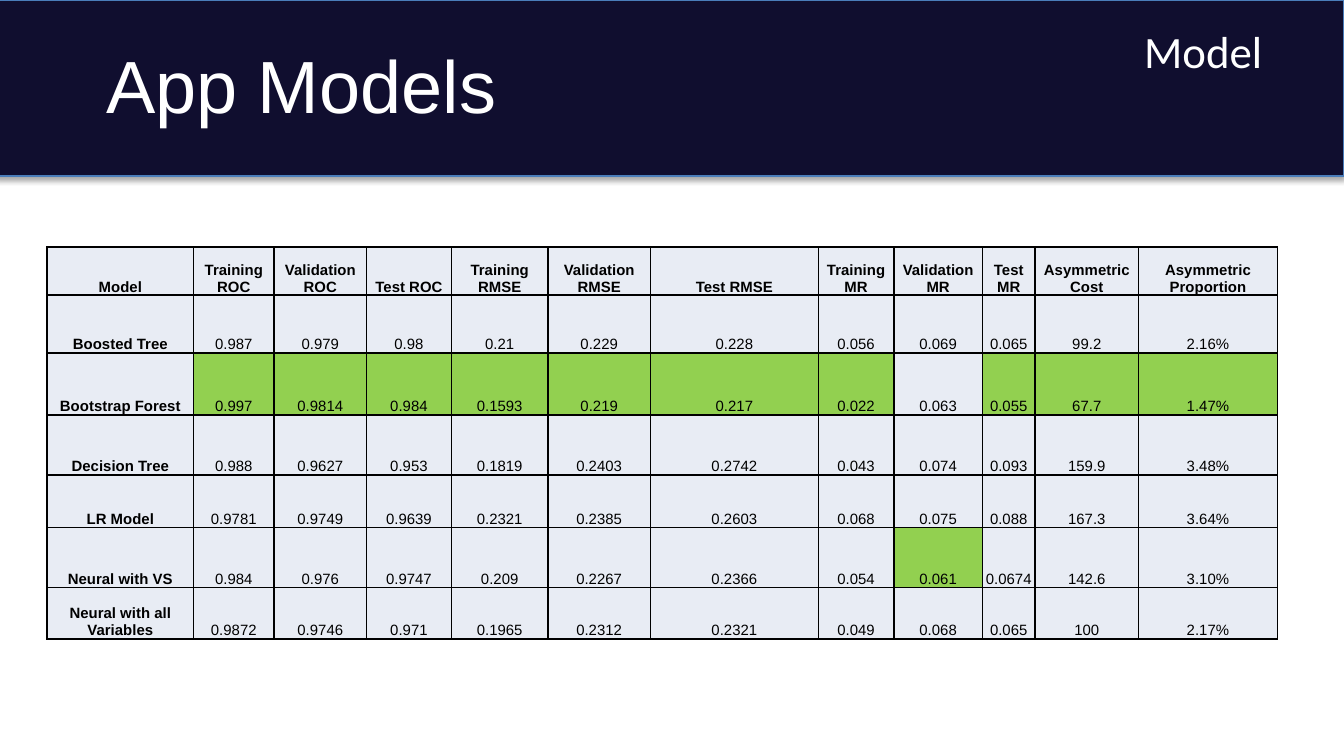
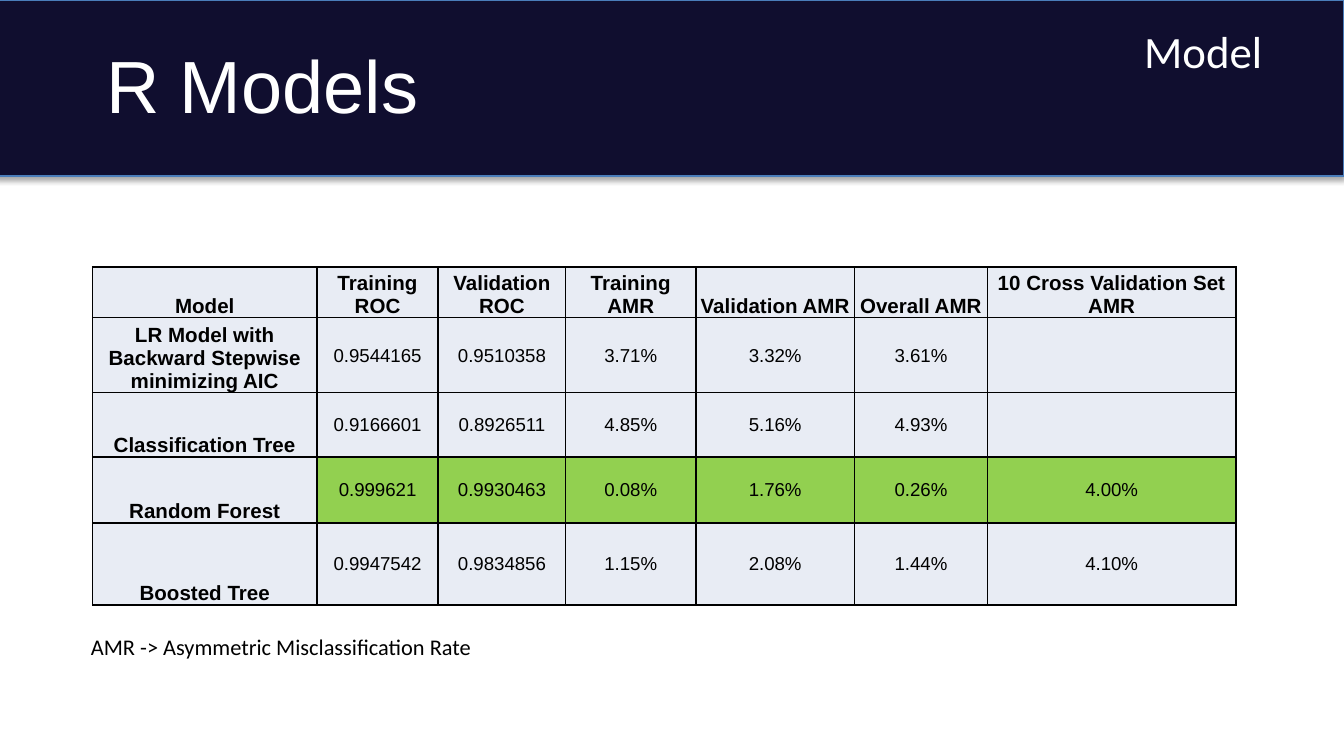
"""Build two slides that compare classification models in tables."""

from dataclasses import dataclass

import pptx
import pptx.dml.color
import pptx.enum.shapes
import pptx.enum.text
import pptx.oxml
import pptx.oxml.ns
import pptx.presentation
import pptx.shapes.autoshape
import pptx.slide
import pptx.table
import pptx.text.text
import pptx.util

Cm = pptx.util.Cm
Pt = pptx.util.Pt
RGBColor = pptx.dml.color.RGBColor
Anchor = pptx.enum.text.MSO_ANCHOR
Align = pptx.enum.text.PP_ALIGN

NAVY = RGBColor(0x10, 0x0E, 0x2F)
BLUE = RGBColor(0x4A, 0x7D, 0xBA)
PALE = RGBColor(0xE8, 0xEC, 0xF4)
GREEN = RGBColor(0x92, 0xD0, 0x50)
WHITE = RGBColor(0xFF, 0xFF, 0xFF)
BLACK = RGBColor(0x00, 0x00, 0x00)

HEADING_FONT = "Arial"
BODY_FONT = "Calibri"
TITLE_ONLY = 5


@dataclass(frozen=True)
class Frame:
    left: float
    top: float
    width: float
    height: float

    def lengths(self) -> tuple[Cm, Cm, Cm, Cm]:
        return Cm(self.left), Cm(self.top), Cm(self.width), Cm(self.height)


@dataclass(frozen=True)
class Style:
    font: str
    size: float
    color: RGBColor = BLACK
    bold: bool = False
    align: Align = Align.LEFT


@dataclass(frozen=True)
class ModelTable:
    left: float
    top: float
    widths: tuple[float, ...]
    heights: tuple[float, ...]
    label_size: float
    value_size: float
    value_anchor: Anchor
    rows: tuple[tuple[str, ...], ...]


BAND = Frame(-0.1, 0, 25.5, 3.33)
TITLE = Frame(1.75, 0.76, 12.57, 1.65)
SECTION = Frame(21.18, 0.33, 3.12, 1.27)
NOTE = Frame(1.47, 11.84, 12.32, 0.76)

TITLE_STYLE = Style(HEADING_FONT, 39.6, WHITE)
SECTION_STYLE = Style(BODY_FONT, 24, WHITE, align=Align.CENTER)
NOTE_STYLE = Style(BODY_FONT, 12)

APP_MODELS = ModelTable(
    left=0.89,
    top=4.67,
    widths=(2.77, 1.52, 1.75, 1.6, 1.83, 1.93, 3.18, 1.42, 1.68, 0.99, 1.96, 2.62),
    heights=(0.91, 1.09, 1.17, 1.14, 0.99, 1.14, 0.97),
    label_size=8,
    value_size=8,
    value_anchor=Anchor.BOTTOM,
    rows=(
        ("Model", "Training ROC", "Validation ROC", "Test ROC", "Training RMSE",
         "Validation RMSE", "Test RMSE", "Training MR", "Validation MR", "Test MR",
         "Asymmetric Cost", "Asymmetric Proportion"),
        ("Boosted Tree", "0.987", "0.979", "0.98", "0.21", "0.229", "0.228",
         "0.056", "0.069", "0.065", "99.2", "2.16%"),
        ("Bootstrap Forest", "0.997", "0.9814", "0.984", "0.1593", "0.219", "0.217",
         "0.022", "0.063", "0.055", "67.7", "1.47%"),
        ("Decision Tree", "0.988", "0.9627", "0.953", "0.1819", "0.2403", "0.2742",
         "0.043", "0.074", "0.093", "159.9", "3.48%"),
        ("LR Model", "0.9781", "0.9749", "0.9639", "0.2321", "0.2385", "0.2603",
         "0.068", "0.075", "0.088", "167.3", "3.64%"),
        ("Neural with VS", "0.984", "0.976", "0.9747", "0.209", "0.2267", "0.2366",
         "0.054", "0.061", "0.0674", "142.6", "3.10%"),
        ("Neural with all Variables", "0.9872", "0.9746", "0.971", "0.1965", "0.2312",
         "0.2321", "0.049", "0.068", "0.065", "100", "2.17%"),
    ),
)

R_MODELS = ModelTable(
    left=1.75,
    top=5.05,
    widths=(4.24, 2.29, 2.41, 2.46, 3, 2.51, 4.7),
    heights=(0.84, 1.35, 1.22, 1.24, 1.55),
    label_size=11,
    value_size=10,
    value_anchor=Anchor.MIDDLE,
    rows=(
        ("Model", "Training ROC", "Validation ROC", "Training AMR", "Validation AMR",
         "Overall AMR", "10 Cross Validation Set AMR"),
        ("LR Model with Backward Stepwise minimizing AIC", "0.9544165", "0.9510358",
         "3.71%", "3.32%", "3.61%", ""),
        ("Classification Tree", "0.9166601", "0.8926511", "4.85%", "5.16%", "4.93%", ""),
        ("Random Forest", "0.999621", "0.9930463", "0.08%", "1.76%", "0.26%", "4.00%"),
        ("Boosted Tree", "0.9947542", "0.9834856", "1.15%", "2.08%", "1.44%", "4.10%"),
    ),
)


def write(frame: pptx.text.text.TextFrame, text: str, style: Style) -> None:
    para = frame.paragraphs[0]
    para.alignment = style.align
    span = para.add_run()
    span.text = text
    span.font.name = style.font
    span.font.size = Pt(style.size)
    span.font.bold = style.bold
    span.font.color.rgb = style.color


def add_text(page: pptx.slide.Slide, frame: Frame, text: str, style: Style) -> None:
    box = page.shapes.add_textbox(*frame.lengths())
    box.text_frame.word_wrap = True
    write(box.text_frame, text, style)


def add_shadow(shape: pptx.shapes.autoshape.Shape) -> None:
    shape.shadow.inherit = False
    effects = shape.element.spPr.find(pptx.oxml.ns.qn("a:effectLst"))
    effects.append(pptx.oxml.parse_xml(
        f'<a:outerShdw {pptx.oxml.ns.nsdecls("a")} blurRad="{Pt(3.1)}" dist="{Pt(1.8)}" '
        'dir="5400000" rotWithShape="0"><a:srgbClr val="000000">'
        '<a:alpha val="35000"/></a:srgbClr></a:outerShdw>'
    ))


def add_band(page: pptx.slide.Slide) -> None:
    band = page.shapes.add_shape(
        pptx.enum.shapes.MSO_SHAPE.RECTANGLE, *BAND.lengths()
    )
    band.fill.solid()
    band.fill.fore_color.rgb = NAVY
    band.line.color.rgb = BLUE
    band.line.width = Pt(0.75)
    add_shadow(band)
    page.slide_layout.shapes.element.insert(2, band.element)


def add_page(deck: pptx.presentation.Presentation, title: str) -> pptx.slide.Slide:
    page = deck.slides.add_slide(deck.slide_layouts[TITLE_ONLY])
    box = page.shapes.title
    box.left, box.top, box.width, box.height = TITLE.lengths()
    box.text_frame.auto_size = pptx.enum.text.MSO_AUTO_SIZE.NONE
    box.text_frame.vertical_anchor = Anchor.MIDDLE
    write(box.text_frame, title, TITLE_STYLE)
    add_text(page, SECTION, "Model", SECTION_STYLE)
    return page


def best_row(rows: tuple[tuple[str, ...], ...], column: int) -> int:
    scores = {
        index: float(row[column].rstrip("%"))
        for index, row in enumerate(rows)
        if index and row[column]
    }
    choose = max if rows[0][column].endswith("ROC") else min
    return choose(scores, key=scores.get)


def add_borders(cell: pptx.table._Cell) -> None:
    properties = cell._tc.get_or_add_tcPr()
    for side in ("lnL", "lnR", "lnT", "lnB"):
        properties.append(pptx.oxml.parse_xml(
            f'<a:{side} {pptx.oxml.ns.nsdecls("a")} w="{Pt(1)}"><a:solidFill>'
            f'<a:srgbClr val="{BLACK}"/></a:solidFill></a:{side}>'
        ))


def format_cell(
    cell: pptx.table._Cell, text: str, style: Style, anchor: Anchor, fill: RGBColor
) -> None:
    cell.margin_left = cell.margin_right = cell.margin_top = Cm(0.02)
    cell.margin_bottom = 0
    cell.vertical_anchor = anchor
    add_borders(cell)
    cell.fill.solid()
    cell.fill.fore_color.rgb = fill
    if text:
        write(cell.text_frame, text, style)


def add_model_table(page: pptx.slide.Slide, models: ModelTable) -> None:
    frame = Frame(models.left, models.top, sum(models.widths), sum(models.heights))
    table = page.shapes.add_table(
        len(models.heights), len(models.widths), *frame.lengths()
    ).table
    table.first_row = table.horz_banding = False
    for column, width in zip(table.columns, models.widths):
        column.width = Cm(width)
    for row, height in zip(table.rows, models.heights):
        row.height = Cm(height)

    label = Style(HEADING_FONT, models.label_size, bold=True, align=Align.CENTER)
    value = Style(HEADING_FONT, models.value_size, align=Align.CENTER)
    for column in range(len(models.widths)):
        best = best_row(models.rows, column) if column else None
        for index, row in enumerate(models.rows):
            is_label = index == 0 or column == 0
            format_cell(
                table.cell(index, column),
                row[column],
                label if is_label else value,
                Anchor.BOTTOM if is_label else models.value_anchor,
                GREEN if index == best else PALE,
            )


def main() -> None:
    deck = pptx.Presentation()
    deck.slide_width, deck.slide_height = Cm(25.4), Cm(14.29)

    page = add_page(deck, "App Models")
    add_band(page)
    add_model_table(page, APP_MODELS)

    page = add_page(deck, "R Models")
    add_model_table(page, R_MODELS)
    add_text(page, NOTE, "AMR -> Asymmetric Misclassification Rate", NOTE_STYLE)

    deck.save("out.pptx")


if __name__ == "__main__":
    main()
